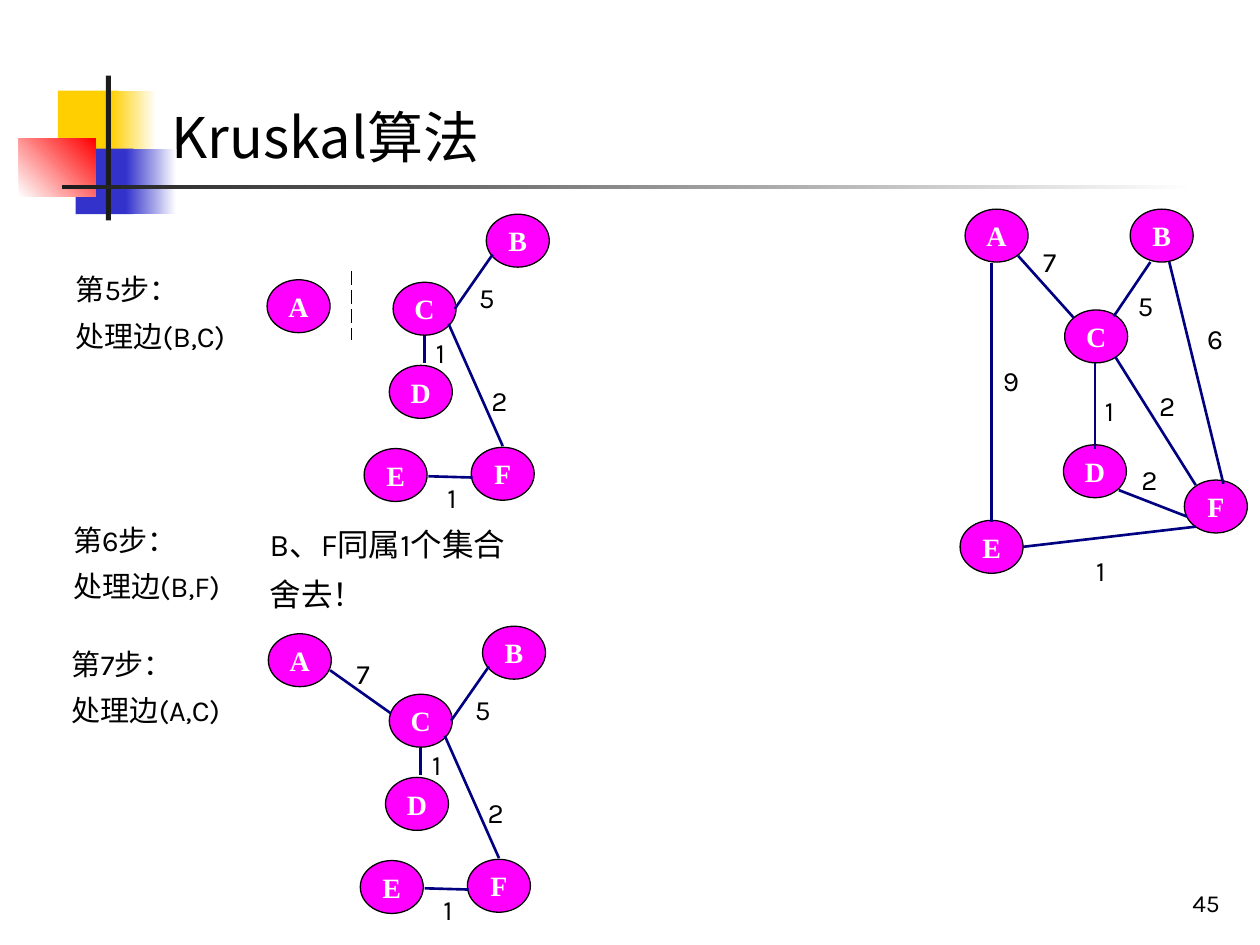
"""Build the slide on steps 5 to 7 of Kruskal's algorithm."""
from dataclasses import dataclass

from lxml import etree
from pptx import Presentation
from pptx.dml.color import RGBColor
from pptx.enum import dml, shapes, text
from pptx.oxml import ns
from pptx.util import Inches, Pt


@dataclass(frozen=True)
class Theme:
    """Colours, fonts and type sizes."""
    ink: str = "000000"
    paper: str = "FFFFFF"
    node: str = "FF00FF"
    edge: str = "000080"
    yellow: str = "FFCF01"
    blue: str = "3333CC"
    red: str = "FF0000"
    rule: str = "1C1C1C"
    body_font: str = "Karla"
    node_font: str = "Times New Roman"
    cjk_font: str = "Noto Sans CJK JP"
    title_size: float = 32
    remark_size: float = 18
    step_size: float = 16.6
    graph_size: float = 16
    number_size: float = 14


@dataclass(frozen=True)
class Node:
    """A vertex by its name and top left corner."""
    name: str
    x: float
    y: float


@dataclass(frozen=True)
class Edge:
    """A line between two points."""
    x1: float
    y1: float
    x2: float
    y2: float


@dataclass(frozen=True)
class Weight:
    """An edge weight by its top left corner."""
    value: str
    x: float
    y: float


@dataclass(frozen=True)
class Graph:
    """A drawing of vertices, edges and weights."""
    nodes: tuple[Node, ...]
    edges: tuple[Edge, ...]
    weights: tuple[Weight, ...]


@dataclass(frozen=True)
class Block:
    """A decorative rectangle, fading when it has an end colour."""
    x: float
    y: float
    w: float
    h: float
    start: str
    end: str = ""
    angle: float = 0


@dataclass(frozen=True)
class Note:
    """Lines of running text beside a graph."""
    x: float
    y: float
    w: float
    size: float
    lines: tuple[str, ...]


THEME = Theme()
NODE_W, NODE_H = 0.5, 0.42

BLOCKS = (
    Block(0.46, 0.72, 0.48, 0.52, THEME.yellow),
    Block(0.88, 0.72, 0.36, 0.52, THEME.yellow, THEME.paper),
    Block(0.6, 1.18, 0.46, 0.52, THEME.blue),
    Block(1, 1.18, 0.4, 0.52, THEME.blue, THEME.paper),
    Block(0.15, 1.1, 0.61, 0.46, THEME.paper, THEME.red, 45),
    Block(0.84, 0.6, 0.04, 1.15, THEME.rule),
    Block(0.49, 1.47, 9, 0.03, THEME.rule, THEME.paper),
)

FULL_GRAPH = Graph(
    (Node("A", 7.66, 1.66), Node("B", 8.97, 1.66), Node("C", 8.45, 2.46),
     Node("D", 8.44, 3.53), Node("E", 7.62, 4.13), Node("F", 9.4, 3.81)),
    (Edge(7.87, 2.09, 7.87, 4.14), Edge(8.84, 2.51, 9.13, 2.08),
     Edge(8.08, 2.03, 8.52, 2.52), Edge(8.69, 2.88, 8.69, 3.56),
     Edge(9.28, 2.08, 9.71, 3.84), Edge(8.85, 2.83, 9.49, 3.85),
     Edge(8.88, 3.89, 9.42, 4.1), Edge(8.12, 4.34, 9.49, 4.18)),
    (Weight("7", 8.28, 1.94), Weight("5", 9.03, 2.29), Weight("6", 9.58, 2.55),
     Weight("2", 9.2, 3.08), Weight("2", 9.06, 3.67), Weight("1", 8.77, 3.12),
     Weight("9", 7.96, 2.88), Weight("1", 8.7, 4.39)),
)
TREE = Graph(
    (Node("B", 3.86, 1.7), Node("C", 3.12, 2.24), Node("D", 3.09, 2.9),
     Node("E", 2.89, 3.56), Node("F", 3.74, 3.55)),
    (Edge(3.37, 2.67, 3.37, 2.88), Edge(3.4, 3.78, 3.75, 3.79),
     Edge(3.56, 2.57, 3.99, 3.54), Edge(3.61, 2.45, 3.91, 2.02)),
    (Weight("1", 3.55, 3.81), Weight("1", 3.46, 2.66),
     Weight("2", 3.9, 3.04), Weight("5", 3.8, 2.22)),
)
STEP_5_ADDITION = Graph((Node("A", 2.12, 2.22),), (), ())
STEP_7_ADDITION = Graph((Node("A", 2.13, 5.03),), (Edge(2.62, 5.32, 3.1, 5.66),),
                        (Weight("7", 2.83, 5.21),))
SET_DIVIDER = Edge(2.79, 2.15, 2.79, 2.7)

NOTES = (
    Note(0.6, 2.13, 1.32, THEME.step_size, ("第5步：", "处理边(B,C)")),
    Note(0.58, 4.12, 1.32, THEME.step_size, ("第6步：", "处理边(B,F)")),
    Note(2.14, 4.14, 3.51, THEME.remark_size, ("B、F同属1个集合", "舍去！")),
    Note(0.57, 5.1, 1.32, THEME.step_size, ("第7步：", "处理边(A,C)")),
)


def write(shape, *lines: str, size: float, font: str = THEME.body_font,
          color: str = THEME.ink, bold: bool = False, wrap: bool = True,
          align=text.PP_ALIGN.LEFT, anchor=text.MSO_ANCHOR.TOP,
          inset: tuple[float, float] = (0, 0), spacing: float = 1, gap: float = 0) -> None:
    """Fill a shape with formatted paragraphs."""
    frame = shape.text_frame
    frame.word_wrap, frame.vertical_anchor = wrap, anchor
    frame.auto_size = text.MSO_AUTO_SIZE.NONE
    frame.margin_left = frame.margin_right = Inches(inset[0])
    frame.margin_top = frame.margin_bottom = Inches(inset[1])
    for index, line in enumerate(lines):
        paragraph = frame.add_paragraph() if index else frame.paragraphs[0]
        paragraph.alignment, paragraph.line_spacing = align, spacing
        paragraph.space_before = Pt(gap if index else 0)
        run = paragraph.add_run()
        run.text = line
        run.font.name, run.font.size, run.font.bold = font, Pt(size), bold
        run.font.color.rgb = RGBColor.from_string(color)
        east_asian = etree.SubElement(run.font._element, ns.qn("a:ea"))
        east_asian.set("typeface", THEME.cjk_font)


def add_box(slide, x: float, y: float, w: float, h: float):
    """Add an empty text box."""
    return slide.shapes.add_textbox(Inches(x), Inches(y), Inches(w), Inches(h))


def draw_block(slide, block: Block) -> None:
    """Draw one decorative rectangle."""
    tile = slide.shapes.add_shape(shapes.MSO_SHAPE.RECTANGLE, Inches(block.x),
                                  Inches(block.y), Inches(block.w), Inches(block.h))
    tile.shadow.inherit = False
    tile.line.fill.background()
    if block.end:
        tile.fill.gradient()
        tile.fill.gradient_angle = block.angle
        for stop, color in zip(tile.fill.gradient_stops, (block.start, block.end)):
            stop.color.rgb = RGBColor.from_string(color)
    else:
        tile.fill.solid()
        tile.fill.fore_color.rgb = RGBColor.from_string(block.start)


def draw_node(slide, node: Node, dx: float, dy: float) -> None:
    """Draw one vertex."""
    vertex = slide.shapes.add_shape(shapes.MSO_SHAPE.OVAL, Inches(node.x + dx),
                                    Inches(node.y + dy), Inches(NODE_W), Inches(NODE_H))
    vertex.shadow.inherit = False
    vertex.fill.solid()
    vertex.fill.fore_color.rgb = RGBColor.from_string(THEME.node)
    vertex.line.color.rgb = RGBColor.from_string(THEME.ink)
    vertex.line.width = Pt(0.75)
    write(vertex, node.name, size=THEME.graph_size, font=THEME.node_font,
          color=THEME.paper, bold=True, wrap=False, align=text.PP_ALIGN.CENTER,
          anchor=text.MSO_ANCHOR.MIDDLE, inset=(0.1, 0.05))


def draw_edge(slide, edge: Edge, dx: float = 0, dy: float = 0,
              color: str = THEME.edge, width: float = 1.5, dash=None) -> None:
    """Draw one straight line."""
    link = slide.shapes.add_connector(
        shapes.MSO_CONNECTOR.STRAIGHT, Inches(edge.x1 + dx), Inches(edge.y1 + dy),
        Inches(edge.x2 + dx), Inches(edge.y2 + dy))
    link.line.color.rgb = RGBColor.from_string(color)
    link.line.width = Pt(width)
    if dash:
        link.line.dash_style = dash
    etree.SubElement(link._element.spPr, ns.qn("a:effectLst"))


def draw_graph(slide, graph: Graph, dx: float = 0, dy: float = 0) -> None:
    """Draw a graph, shifted by an offset."""
    for node in graph.nodes:
        draw_node(slide, node, dx, dy)
    for edge in graph.edges:
        draw_edge(slide, edge, dx, dy)
    for weight in graph.weights:
        write(add_box(slide, weight.x + dx, weight.y + dy, 0.14, 0.27), weight.value,
              size=THEME.graph_size, anchor=text.MSO_ANCHOR.BOTTOM)


def main() -> None:
    """Compose and save the slide."""
    deck = Presentation()
    deck.slide_width, deck.slide_height = Inches(10), Inches(7.5)
    slide = deck.slides.add_slide(deck.slide_layouts[5])
    for block in BLOCKS:
        draw_block(slide, block)
    title = slide.shapes.title
    title.left, title.top = Inches(1.26), Inches(0.76)
    title.width, title.height = Inches(8.74), Inches(0.64)
    write(title, "Kruskal算法", size=THEME.title_size, font=THEME.cjk_font,
          anchor=text.MSO_ANCHOR.MIDDLE, inset=(0.1, 0.05))
    draw_graph(slide, FULL_GRAPH)
    draw_graph(slide, TREE)
    draw_graph(slide, STEP_5_ADDITION)
    draw_edge(slide, SET_DIVIDER, color=THEME.ink, width=1, dash=dml.MSO_LINE.LONG_DASH)
    draw_graph(slide, TREE, dx=-0.03, dy=3.27)
    draw_graph(slide, STEP_7_ADDITION)
    for note in NOTES:
        write(add_box(slide, note.x, note.y, note.w, 0.76), *note.lines,
              size=note.size, spacing=1.1, gap=4.5)
    write(add_box(slide, 7.7, 6.83, 2.08, 0.5), "45", size=THEME.number_size,
          align=text.PP_ALIGN.RIGHT, anchor=text.MSO_ANCHOR.BOTTOM, inset=(0.1, 0.05))
    deck.save("out.pptx")


if __name__ == "__main__":
    main()
